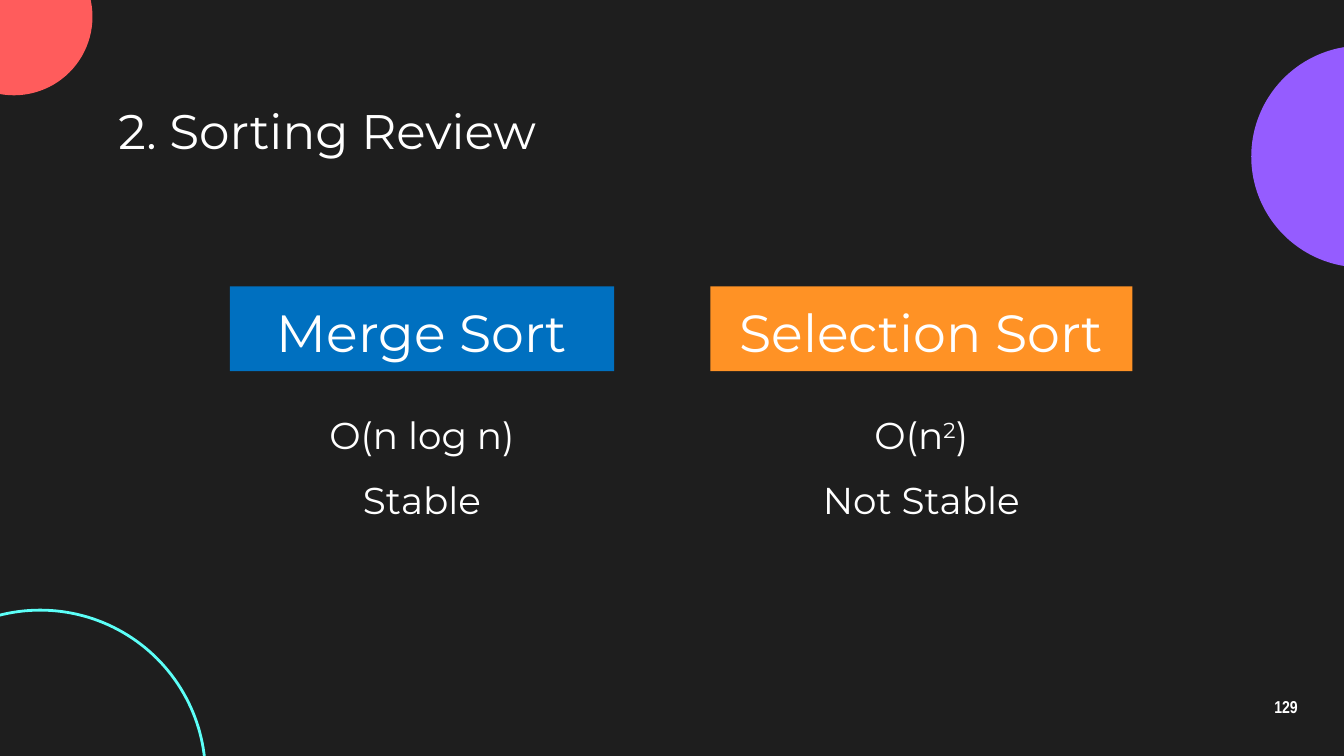
import pptx
import pptx.dml.color
import pptx.enum.shapes
import pptx.enum.text
import pptx.util

Pt = pptx.util.Pt
RGBColor = pptx.dml.color.RGBColor
SHAPE = pptx.enum.shapes.MSO_SHAPE
ALIGN = pptx.enum.text.PP_ALIGN
ANCHOR = pptx.enum.text.MSO_ANCHOR
AUTO_SIZE = pptx.enum.text.MSO_AUTO_SIZE

DARK = RGBColor(0x1E, 0x1E, 0x1E)
WHITE = RGBColor(0xFF, 0xFF, 0xFF)
PURPLE = RGBColor(0x95, 0x5C, 0xFF)
CORAL = RGBColor(0xFF, 0x5C, 0x5C)
CYAN = RGBColor(0x5C, 0xFF, 0xF8)
BLUE = RGBColor(0x00, 0x70, 0xC0)
ORANGE = RGBColor(0xFF, 0x92, 0x25)

BODY_FONT = "Montserrat"
INSET = 7.2
HEADING_TOP, HEADING_HEIGHT = 153.4, 45.4
LABEL_TOP, LABEL_STEP = 217.4, 34.6
LABEL_WIDTH, LABEL_HEIGHT = 125.3, 31.5

# Column centre, heading, heading width, colour, properties as
# (text, superscript) pieces
COLUMNS = [
    (226.1, "Merge Sort", 205.9, BLUE,
     [[("O(n log n)", False)], [("Stable", False)]]),
    (493.6, "Selection Sort", 226.1, ORANGE,
     [[("O(n", False), ("2", True), (")", False)], [("Not Stable", False)]]),
]


def style_span(span, size, font=BODY_FONT, bold=False):
    span.font.size = Pt(size)
    span.font.name = font
    span.font.bold = bold
    span.font.color.rgb = WHITE


def set_insets(frame, inset):
    frame.margin_left = frame.margin_right = Pt(inset)
    frame.margin_top = frame.margin_bottom = Pt(inset)


def write_line(frame, text, size, align, anchor, **font_options):
    """Fill a frame with one styled line of text."""
    frame.text = text
    frame.word_wrap = True
    frame.vertical_anchor = anchor
    set_insets(frame, INSET)
    para = frame.paragraphs[0]
    para.alignment = align
    style_span(para.runs[0], size, **font_options)
    return para


def add_filled_shape(page, kind, left, top, width, height, fill):
    shape = page.shapes.add_shape(kind, Pt(left), Pt(top), Pt(width), Pt(height))
    shape.shadow.inherit = False
    shape.fill.solid()
    shape.fill.fore_color.rgb = fill
    shape.line.fill.background()
    return shape


def add_circle(page, left, top, size, fill):
    return add_filled_shape(page, SHAPE.OVAL, left, top, size, size, fill)


def add_ring(page, left, top, size, color):
    ring = add_circle(page, left, top, size, color)
    ring.fill.background()
    ring.line.color.rgb = color
    ring.line.width = Pt(1.5)


def set_title(page, text):
    title = page.shapes.title
    title.left, title.top = Pt(56.2), Pt(51.1)
    title.width, title.height = Pt(607.7), Pt(36.7)
    write_line(title.text_frame, text, 26, ALIGN.LEFT, ANCHOR.MIDDLE)
    title.text_frame.auto_size = AUTO_SIZE.NONE


def add_page_number(page, text):
    box = page.shapes.add_textbox(Pt(667.4), Pt(367.2), Pt(43.2), Pt(24.5))
    para = write_line(box.text_frame, text, 9.2, ALIGN.CENTER, ANCHOR.MIDDLE,
                      font="Arial Narrow", bold=True)
    para.line_spacing = 0.9


def add_heading(page, center, text, width, fill):
    box = add_filled_shape(page, SHAPE.RECTANGLE, center - width / 2,
                           HEADING_TOP, width, HEADING_HEIGHT, fill)
    write_line(box.text_frame, text, 28, ALIGN.CENTER, ANCHOR.TOP)


def add_label(page, center, top, pieces):
    box = page.shapes.add_textbox(Pt(center - LABEL_WIDTH / 2), Pt(top),
                                  Pt(LABEL_WIDTH), Pt(LABEL_HEIGHT))
    frame = box.text_frame
    frame.word_wrap = True
    frame.auto_size = AUTO_SIZE.SHAPE_TO_FIT_TEXT
    para = frame.paragraphs[0]
    para.alignment = ALIGN.CENTER
    for text, superscript in pieces:
        span = para.add_run()
        span.text = text
        style_span(span, 20)
        if superscript:
            span._r.get_or_add_rPr().set("baseline", "30000")


def main():
    deck = pptx.Presentation()
    deck.slide_width, deck.slide_height = Pt(720), Pt(405)
    page = deck.slides.add_slide(deck.slide_layouts[5])
    page.background.fill.solid()
    page.background.fill.fore_color.rgb = DARK

    # Decorative circles
    add_circle(page, 670.3, 24.5, 118.8, PURPLE)
    add_circle(page, -34.6, -33.1, 84.2, CORAL)
    add_ring(page, -67, 326.9, 177.1, CYAN)

    # Title and page number
    set_title(page, "2. Sorting Review")
    add_page_number(page, "129")

    # Sorting comparison
    for center, heading, width, fill, labels in COLUMNS:
        add_heading(page, center, heading, width, fill)
        for row, pieces in enumerate(labels):
            add_label(page, center, LABEL_TOP + row * LABEL_STEP, pieces)

    deck.save("out.pptx")


if __name__ == "__main__":
    main()
